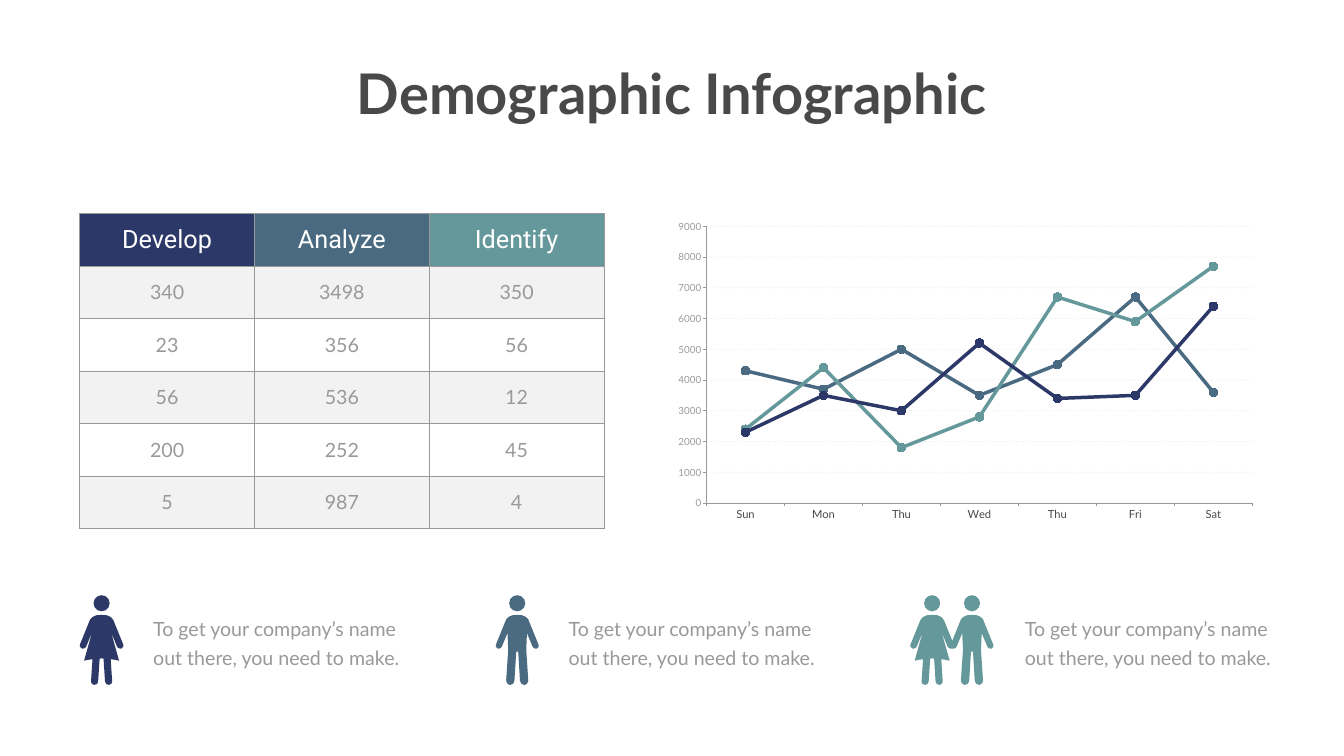
from dataclasses import dataclass
from typing import Any

from lxml.etree import SubElement
from pptx import Presentation
from pptx.chart.data import CategoryChartData
from pptx.dml.color import RGBColor
from pptx.enum.chart import XL_CHART_TYPE as ChartType, XL_MARKER_STYLE as Marker
from pptx.enum.chart import XL_TICK_MARK as Tick
from pptx.enum.dml import MSO_LINE_DASH_STYLE as Dash
from pptx.enum.shapes import MSO_SHAPE as Preset
from pptx.enum.text import MSO_ANCHOR as Anchor, MSO_AUTO_SIZE as AutoSize, PP_ALIGN as Align
from pptx.oxml import parse_xml
from pptx.oxml.ns import nsdecls, qn
from pptx.util import Pt

NAVY = RGBColor(0x2C, 0x38, 0x67)
SLATE = RGBColor(0x49, 0x6A, 0x80)
TEAL = RGBColor(0x65, 0x98, 0x9B)
DARK = RGBColor(0x49, 0x49, 0x49)
GRAY = RGBColor(0x99, 0x99, 0x99)
SHADE = RGBColor(0x80, 0x80, 0x80)
WHITE = RGBColor(0xFF, 0xFF, 0xFF)

TITLE_FONT = dict(name="Lato", size=Pt(80), bold=True)
HEADER_FONT = dict(name="Roboto", size=Pt(36), bold=False)
BODY_FONT = dict(name="Lato", size=Pt(28), bold=False)

# Right half of each body, as points from the middle of the shoulders
MAN = [(0, 0), (7, 0.6), (11.5, 2.5), (14.6, 5), (15.8, 6.5), (30.4, 42.5), (30.6, 45.5),
       (28, 48.2), (24.5, 48), (22, 45.5), (13.9, 26), (13, 47.5), (13, 52), (15.8, 93.6),
       (14.7, 97.5), (11.6, 99.8), (10, 100), (6, 98.5), (4, 94.5), (1.5, 54), (0.9, 52.5),
       (0, 51.8)]
WOMAN = [(0, 0), (7.5, 0.6), (12, 2.5), (15, 5), (17, 8), (31, 42.5), (31, 45.5),
         (28, 48.2), (25, 48), (22.3, 46), (13.5, 24.5), (25, 65.5), (19, 64.2), (13, 63.4),
         (15.1, 95), (14, 98.5), (10.5, 100), (6.5, 98.8), (4.9, 95), (2.8, 62.7), (0, 62)]
HEAD_TOP, HEAD_SIZE, SHOULDER_TOP = 850.3, 23, 878.4

HEADERS = [("Develop", NAVY), ("Analyze", SLATE), ("Identify", TEAL)]
ROWS = [(340, 3498, 350), (23, 356, 56), (56, 536, 12), (200, 252, 45), (5, 987, 4)]
DAYS = ["Sun", "Mon", "Thu", "Wed", "Thu", "Fri", "Sat"]
CAPTION = "To get your company’s name out there, you need to make."


@dataclass(frozen=True)
class Trend:
    """One line of the chart."""
    name: str
    color: RGBColor
    values: tuple[int, ...]


@dataclass(frozen=True)
class Group:
    """A group of people: outlines with their centres, and a caption."""
    color: RGBColor
    people: tuple[tuple[list, float], ...]
    caption_left: float


TRENDS = [
    Trend("Series 1", SLATE, (4300, 3700, 5000, 3500, 4500, 6700, 3600)),
    Trend("Series 2", TEAL, (2400, 4400, 1800, 2800, 6700, 5900, 7700)),
    Trend("Series 3", NAVY, (2300, 3500, 3000, 5200, 3400, 3500, 6400)),
]
GROUPS = [
    Group(NAVY, ((WOMAN, 145.1),), 211.7),
    Group(SLATE, ((MAN, 738.7),), 805),
    Group(TEAL, ((MAN, 1388.2), (WOMAN, 1331.3)), 1456.6),
]


def apply(target: Any, values: dict) -> None:
    """Set every attribute in values on the target."""
    for name, value in values.items():
        setattr(target, name, value)


def points(*lengths: float) -> list:
    """Turn numbers into lengths in points."""
    return [Pt(length) for length in lengths]


def paint(fill: Any, color: RGBColor) -> None:
    """Give a solid fill one colour."""
    fill.solid()
    fill.fore_color.rgb = color


def make_faint(properties: Any) -> None:
    """Make the colour inside an element ten per cent opaque."""
    color = next(properties.iter(qn("a:srgbClr")))
    SubElement(color, qn("a:alpha"), val="10000")


def write(frame: Any, text: str, font: dict, color: RGBColor, **layout: Any) -> None:
    """Put one formatted paragraph into a text frame."""
    paragraph = frame.paragraphs[0]
    apply(paragraph, layout)
    run = paragraph.add_run()
    run.text = text
    apply(run.font, font)
    run.font.color.rgb = color


def add_title(slide: Any) -> None:
    """Fill the title placeholder."""
    title = slide.shapes.title
    apply(title, dict(zip(("left", "top", "width", "height"), points(494, 80.6, 931, 104.4))))
    apply(title.text_frame, dict(word_wrap=False, auto_size=AutoSize.NONE,
                                 vertical_anchor=Anchor.TOP))
    write(title.text_frame, "Demographic Infographic", TITLE_FONT, DARK, alignment=Align.CENTER)


def style_cell(cell: Any, text: str, font: dict, text_color: RGBColor, fill: RGBColor) -> None:
    """Write, fill and outline one table cell."""
    cell.vertical_anchor = Anchor.MIDDLE
    write(cell.text_frame, text, font, text_color, alignment=Align.CENTER)
    paint(cell.fill, fill)
    properties = cell._tc.get_or_add_tcPr()
    if fill == SHADE:
        make_faint(properties)
    for index, side in enumerate("LRTB"):
        properties.insert(index, parse_xml(
            f'<a:ln{side} {nsdecls("a")} w="12700"><a:solidFill><a:srgbClr val="{GRAY}"/>'
            f'</a:solidFill></a:ln{side}>'))


def add_figures_table(slide: Any) -> None:
    """Add the table with coloured headers and striped rows."""
    table = slide.shapes.add_table(len(ROWS) + 1, len(HEADERS),
                                   *points(113.8, 305.3, 748.8, 449.4)).table
    apply(table, dict(first_row=False, horz_banding=False))
    for column, (text, color) in enumerate(HEADERS):
        style_cell(table.cell(0, column), text, HEADER_FONT, WHITE, color)
    for row, values in enumerate(ROWS, 1):
        for column, value in enumerate(values):
            style_cell(table.cell(row, column), str(value), BODY_FONT, GRAY,
                       SHADE if row % 2 else WHITE)


def add_week_chart(slide: Any) -> None:
    """Add the line chart of the week."""
    data = CategoryChartData()
    data.categories = DAYS
    for trend in TRENDS:
        data.add_series(trend.name, trend.values)
    chart = slide.shapes.add_chart(ChartType.LINE_MARKERS, *points(949, 305.3, 856.8, 449.3),
                                   data).chart
    apply(chart, dict(has_legend=False, has_title=False))
    days, amounts = chart.category_axis, chart.value_axis
    for target, size, color in ((chart, 14, GRAY), (days.tick_labels, 16, DARK),
                                (amounts.tick_labels, 14, GRAY)):
        apply(target.font, dict(name="Lato", size=Pt(size)))
        target.font.color.rgb = color
    for axis in (days, amounts):
        apply(axis, dict(major_tick_mark=Tick.OUTSIDE, minor_tick_mark=Tick.NONE))
        axis.format.line.width = Pt(1)
        axis.format.line.color.rgb = GRAY
    apply(amounts, dict(minimum_scale=0, maximum_scale=9000, major_unit=1000,
                        has_major_gridlines=True))
    grid = amounts.major_gridlines.format.line
    grid.color.rgb = SHADE
    apply(grid, dict(width=Pt(1), dash_style=Dash.DASH))
    make_faint(amounts.major_gridlines._xAx.find(qn("c:majorGridlines")))

    for series, trend in zip(chart.plots[0].series, TRENDS):
        series.smooth = False
        series.format.line.width = Pt(5)
        series.format.line.color.rgb = trend.color
        apply(series.marker, dict(style=Marker.CIRCLE, size=12))
        paint(series.marker.format.fill, trend.color)
        series.marker.format.line.color.rgb = trend.color

    plot_area = chart._chartSpace.chart.plotArea
    for layout in plot_area.findall(qn("c:layout")):
        plot_area.remove(layout)
    places = dict(layoutTarget="inner", xMode="edge", yMode="edge", x=0.07, y=0.04, w=0.91, h=0.88)
    items = "".join(f'<c:{name} val="{value}"/>' for name, value in places.items())
    plot_area.insert(0, parse_xml(
        f'<c:layout {nsdecls("c")}><c:manualLayout>{items}</c:manualLayout></c:layout>'))


def add_person(shapes: Any, half: list, center: float, color: RGBColor) -> None:
    """Draw a person by mirroring half an outline, and add the head."""
    outline = half + [(-x, y) for x, y in reversed(half[1:-1])]
    corners = [(Pt(center + x), Pt(SHOULDER_TOP + y)) for x, y in outline]
    builder = shapes.build_freeform(*corners[0])
    builder.add_line_segments(corners[1:], close=True)
    head = shapes.add_shape(Preset.OVAL, *points(center - HEAD_SIZE / 2, HEAD_TOP,
                                                 HEAD_SIZE, HEAD_SIZE))
    for shape in (builder.convert_to_shape(), head):
        shape.shadow.inherit = False
        paint(shape.fill, color)
        shape.line.fill.background()


def add_group(slide: Any, group: Group) -> None:
    """Add the people of a group and the caption beside them."""
    people = slide.shapes.add_group_shape()
    for half, center in group.people:
        add_person(people.shapes, half, center, group.color)
    caption = slide.shapes.add_textbox(*points(group.caption_left, 871.2, 373.7, 85.7))
    caption.text_frame.word_wrap = True
    write(caption.text_frame, CAPTION, BODY_FONT, GRAY, line_spacing=Pt(40.8))


def main() -> None:
    """Build the slide and save it."""
    presentation = Presentation()
    apply(presentation, dict(slide_width=Pt(1919.5), slide_height=Pt(1080)))
    slide = presentation.slides.add_slide(presentation.slide_layouts[5])
    add_week_chart(slide)
    add_figures_table(slide)
    for group in GROUPS:
        add_group(slide, group)
    add_title(slide)
    presentation.save("out.pptx")


main()
